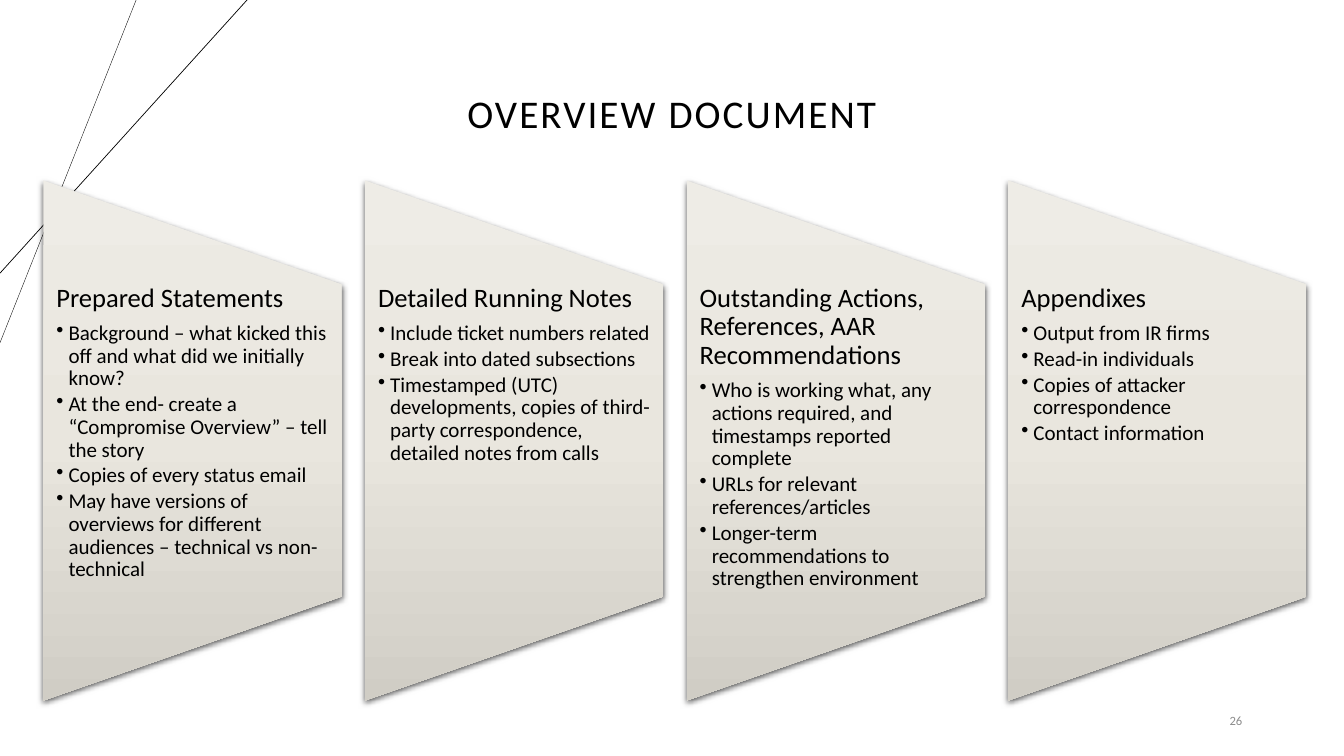
"""Build the overview document slide with four slanted topic panels."""
from lxml import etree
from pptx import Presentation
from pptx import oxml
from pptx import util as u
from pptx.dml.color import RGBColor
from pptx.enum import shapes, text
from pptx.oxml import ns

BLACK = RGBColor(0x00, 0x00, 0x00)
GRAY = RGBColor(0x8C, 0x8C, 0x8C)
PANEL_STOPS = [
    (0, RGBColor(0xEE, 0xEC, 0xE6)),
    (50, RGBColor(0xE9, 0xE6, 0xDE)),
    (100, RGBColor(0xD0, 0xCD, 0xC5)),
]

TOPICS = [
    ("Prepared Statements", [
        "Background – what kicked this off and what did we initially know?",
        "At the end- create a “Compromise Overview” – tell the story",
        "Copies of every status email",
        "May have versions of overviews for different audiences – technical vs non-technical",
    ]),
    ("Detailed Running Notes", [
        "Include ticket numbers related",
        "Break into dated subsections",
        "Timestamped (UTC) developments, copies of third-party correspondence, "
        "detailed notes from calls",
    ]),
    ("Outstanding Actions, References, AAR Recommendations", [
        "Who is working what, any actions required, and timestamps reported complete",
        "URLs for relevant references/articles",
        "Longer-term recommendations to strengthen environment",
    ]),
    ("Appendixes", [
        "Output from IR firms",
        "Read-in individuals",
        "Copies of attacker correspondence",
        "Contact information",
    ]),
]
FIRST_LEFT, TOPIC_STEP = 0.43, 3.19


class SlideBuilder:
    """Hold the font and current slide and add each kind of element."""

    def __init__(self, slide, font="Calibri"):
        self.slide = slide
        self.font = font

    def add_words(self, paragraph, words, size, color=BLACK):
        run = paragraph.add_run()
        run.text = words
        run.font.name = self.font
        run.font.size = u.Pt(size)
        run.font.color.rgb = color
        return run

    def title(self, words, box):
        title = self.slide.shapes.title
        title.left, title.top, title.width, title.height = map(u.Inches, box)
        frame = title.text_frame
        frame.word_wrap = True
        frame.vertical_anchor = text.MSO_ANCHOR.MIDDLE
        paragraph = frame.paragraphs[0]
        paragraph.alignment = text.PP_ALIGN.CENTER
        paragraph.line_spacing = 0.9
        run = self.add_words(paragraph, words, 28)
        run.font._element.set("spc", "150")

    def line(self, start, end, width):
        line = self.slide.shapes.add_connector(
            shapes.MSO_CONNECTOR.STRAIGHT, *map(u.Inches, start + end))
        line.line.color.rgb = BLACK
        line.line.width = u.Pt(width)
        etree.SubElement(line._element.spPr, ns.qn("a:effectLst"))

    def text_box(self, box):
        frame = self.slide.shapes.add_textbox(*map(u.Inches, box)).text_frame
        frame.word_wrap = True
        return frame

    def panel(self, left):
        panel = self.slide.shapes.add_shape(
            shapes.MSO_SHAPE.FLOWCHART_MANUAL_OPERATION,
            *map(u.Inches, (left - 1.1, 2.89, 5.16, 2.96)))
        panel.rotation = 270
        panel.line.fill.background()
        stops = "".join(
            f'<a:gs pos="{place * 1000}"><a:srgbClr val="{color}"/></a:gs>'
            for place, color in PANEL_STOPS)
        gradient = oxml.parse_xml(
            f'<a:gradFill {ns.nsdecls("a")} rotWithShape="0"><a:gsLst>{stops}</a:gsLst>'
            '<a:lin ang="5400000" scaled="0"/></a:gradFill>')
        shadow = oxml.parse_xml(
            f'<a:effectLst {ns.nsdecls("a")}><a:outerShdw blurRad="{u.Pt(4.5)}" '
            f'dist="{u.Pt(1.5)}" dir="5400000" algn="ctr" rotWithShape="0">'
            '<a:srgbClr val="000000"><a:alpha val="63000"/></a:srgbClr>'
            '</a:outerShdw></a:effectLst>')
        properties = panel._element.spPr
        properties.find(ns.qn("a:prstGeom")).addnext(gradient)
        properties.append(shadow)

    def topic(self, left, heading, points):
        self.panel(left)
        frame = self.text_box((left, 2.82, 2.96, 3.1))
        frame.margin_left = frame.margin_right = u.Inches(0.13)
        frame.margin_top = frame.margin_bottom = 0
        opening = frame.paragraphs[0]
        opening.line_spacing = 0.9
        opening.space_after = u.Pt(6.65)
        self.add_words(opening, heading, 19)
        for point in points:
            self.bullet(frame.add_paragraph(), point)

    def bullet(self, paragraph, words):
        paragraph.level = 1
        properties = paragraph._p.get_or_add_pPr()
        properties.set("marL", str(u.Inches(0.12)))
        properties.set("indent", str(-u.Inches(0.12)))
        etree.SubElement(properties, ns.qn("a:buChar"), char="•")
        paragraph.line_spacing = 0.9
        paragraph.space_after = u.Pt(2.25)
        self.add_words(paragraph, words, 15)

    def page_number(self, number, box):
        frame = self.text_box(box)
        frame.vertical_anchor = text.MSO_ANCHOR.MIDDLE
        paragraph = frame.paragraphs[0]
        paragraph.alignment = text.PP_ALIGN.RIGHT
        self.add_words(paragraph, number, 9, GRAY)


def main():
    deck = Presentation()
    deck.slide_width, deck.slide_height = u.Inches(13.33), u.Inches(7.5)
    builder = SlideBuilder(deck.slides.add_slide(deck.slide_layouts[5]))
    builder.line((1.35, 0), (0, 3.4), 0.25)
    builder.line((2.45, 0), (0, 2.71), 0.5)
    builder.title("OVERVIEW DOCUMENT", (2.06, 0.42, 9.21, 1.45))
    for index, (heading, points) in enumerate(TOPICS):
        builder.topic(FIRST_LEFT + index * TOPIC_STEP, heading, points)
    builder.page_number("26", (9.42, 6.95, 3, 0.4))
    deck.save("out.pptx")


if __name__ == "__main__":
    main()
